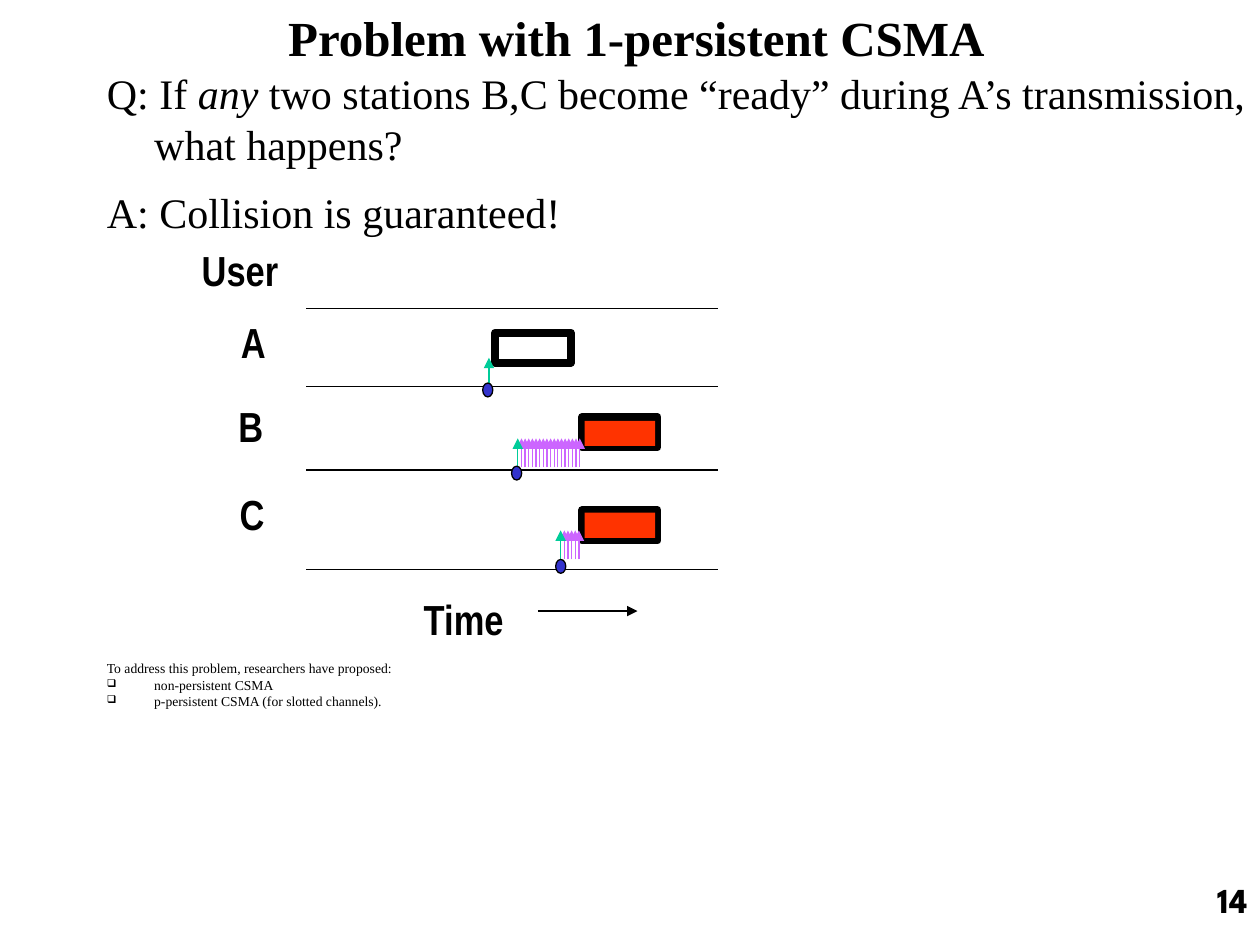
from dataclasses import dataclass
from typing import Optional

from lxml.etree import SubElement
from pptx import Presentation
from pptx.dml.color import RGBColor
from pptx.enum.shapes import MSO_CONNECTOR, MSO_SHAPE
from pptx.enum.text import MSO_ANCHOR, PP_ALIGN
from pptx.oxml.ns import qn
from pptx.util import Pt

HUES = {
    "ink": "000000",
    "paper": "FFFFFF",
    "ready": "00CC99",
    "sense": "CC66FF",
    "dot": "3333CC",
    "clash": "FF3300",
}
SERIF = "Times New Roman"
NARROW = "Arial Narrow"
STEP = 2.08
RISE = 16.6
HANG = 27


@dataclass
class Label:
    text: str
    left: float
    top: float
    width: float


@dataclass
class Station:
    ready: float
    base: float
    tries: int
    dot: tuple[float, float]
    frame: tuple[float, float]
    clash: Optional[tuple[float, float]] = None


LABELS = [
    Label("Time", 241.9, 339.1, 46.1),
    Label("A", 137.5, 180.7, 14.4),
    Label("B", 136.1, 229, 14.4),
    Label("C", 136.8, 279.4, 14.4),
    Label("User", 115.2, 139.7, 43.9),
]
STATIONS = [
    Station(279.4, 221, 0, (275.8, 218.9), (283, 190.1)),
    Station(295.9, 267.1, 17, (292.3, 266.4), (332.6, 238.3), (334.1, 240.5)),
    Station(320.4, 319.7, 5, (317.5, 319.7), (332.6, 291.6), (334.1, 293)),
]
LANES = [176.4, 221, 268.6, 325.4]


def hue(name: str) -> RGBColor:
    return RGBColor.from_string(HUES[name])


def write(para, text: str, *, size: float, font: str = SERIF,
          bold: bool = False, italic: bool = False) -> None:
    run = para.add_run()
    run.text = text
    run.font.size = Pt(size)
    run.font.name = font
    run.font.bold = bold
    run.font.italic = italic
    run.font.color.rgb = hue("ink")


def frame(slide, left: float, top: float, width: float, height: float):
    box = slide.shapes.add_textbox(Pt(left), Pt(top), Pt(width), Pt(height))
    box.text_frame.word_wrap = True
    return box


def indent(para, bullet: bool = False) -> None:
    props = para._p.get_or_add_pPr()
    props.set("marL", str(Pt(HANG)))
    props.set("indent", str(Pt(-HANG)))
    if bullet:
        tint = SubElement(props, qn("a:buClr"))
        SubElement(tint, qn("a:srgbClr"), val=HUES["ink"])
        SubElement(props, qn("a:buSzPct"), val="80000")
        SubElement(props, qn("a:buChar"), char="❑")


def line(slide, start: tuple[float, float], end: tuple[float, float],
         tint: str = "ink", arrow: bool = False) -> None:
    link = slide.shapes.add_connector(
        MSO_CONNECTOR.STRAIGHT, *map(Pt, start), *map(Pt, end))
    link.line.color.rgb = hue(tint)
    link.line.width = Pt(0.75)
    if arrow:
        SubElement(link.line._get_or_add_ln(), qn("a:tailEnd"), type="triangle")
    SubElement(link._element.spPr, qn("a:effectLst"))


def shape(slide, kind, spot: tuple[float, float], size: tuple[float, float],
          fill: Optional[str] = None, weight: float = 0) -> None:
    item = slide.shapes.add_shape(kind, *map(Pt, spot), *map(Pt, size))
    item.shadow.inherit = False
    if fill:
        item.fill.solid()
        item.fill.fore_color.rgb = hue(fill)
    else:
        item.fill.background()
    if weight:
        item.line.color.rgb = hue("ink")
        item.line.width = Pt(weight)
    else:
        item.line.fill.background()


def label(slide, item: Label) -> None:
    box = frame(slide, item.left, item.top, item.width, 28.8)
    box.fill.solid()
    box.fill.fore_color.rgb = hue("paper")
    body = box.text_frame
    body.word_wrap = False
    body.vertical_anchor = MSO_ANCHOR.MIDDLE
    body.margin_left = body.margin_right = 0
    body.margin_top = body.margin_bottom = 0
    para = body.paragraphs[0]
    para.alignment = PP_ALIGN.CENTER
    write(para, item.text, size=24, font=NARROW, bold=True)


def station(slide, item: Station) -> None:
    shape(slide, MSO_SHAPE.RECTANGLE, item.frame, (43.2, 17.3), weight=4.5)
    if item.clash:
        shape(slide, MSO_SHAPE.RECTANGLE, item.clash, (40.3, 14.4), "clash")
    for turn in [*range(1, item.tries + 1), 0]:
        x = item.ready + turn * STEP
        line(slide, (x, item.base), (x, item.base - RISE),
             "sense" if turn else "ready", arrow=True)
    shape(slide, MSO_SHAPE.OVAL, item.dot, (5.8, 7.9), "dot", 0.75)


def main() -> None:
    deck = Presentation()
    deck.slide_width, deck.slide_height = Pt(720), Pt(540)
    slide = deck.slides.add_slide(deck.slide_layouts[5])

    title = slide.shapes.title
    title.left, title.top = Pt(57.6), Pt(0)
    title.width, title.height = Pt(612), Pt(41.8)
    title.text_frame.vertical_anchor = MSO_ANCHOR.MIDDLE
    para = title.text_frame.paragraphs[0]
    para.alignment = PP_ALIGN.CENTER
    write(para, "Problem with 1-persistent CSMA", size=28, bold=True)

    para = frame(slide, 570.2, 498.2, 149.8, 36).text_frame.paragraphs[0]
    para.alignment = PP_ALIGN.RIGHT
    write(para, "14", size=20, font="League Spartan", bold=True)

    for item in LABELS:
        label(slide, item)
    for y in LANES:
        line(slide, (175, y), (410.4, y))
    line(slide, (307.4, 349.2), (364.3, 349.2), arrow=True)
    for item in STATIONS:
        station(slide, item)

    para = frame(slide, 54, 35.3, 666, 144).text_frame.paragraphs[0]
    indent(para)
    write(para, "Q: If ", size=24)
    write(para, "any", size=24, italic=True)
    write(para, " two stations B,C become “ready” during A’s transmission, "
                "what happens?", size=24)

    para = frame(slide, 54, 103, 666, 36).text_frame.paragraphs[0]
    indent(para)
    write(para, "A: Collision is guaranteed!", size=24)

    body = frame(slide, 54, 373.7, 666, 36).text_frame
    para = body.paragraphs[0]
    indent(para)
    write(para, "To address this problem, researchers have proposed:", size=7.8)
    for text in ("non-persistent CSMA",
                 "p-persistent CSMA (for slotted channels)."):
        para = body.add_paragraph()
        indent(para, bullet=True)
        write(para, text, size=7.8)

    deck.save("out.pptx")


if __name__ == "__main__":
    main()
